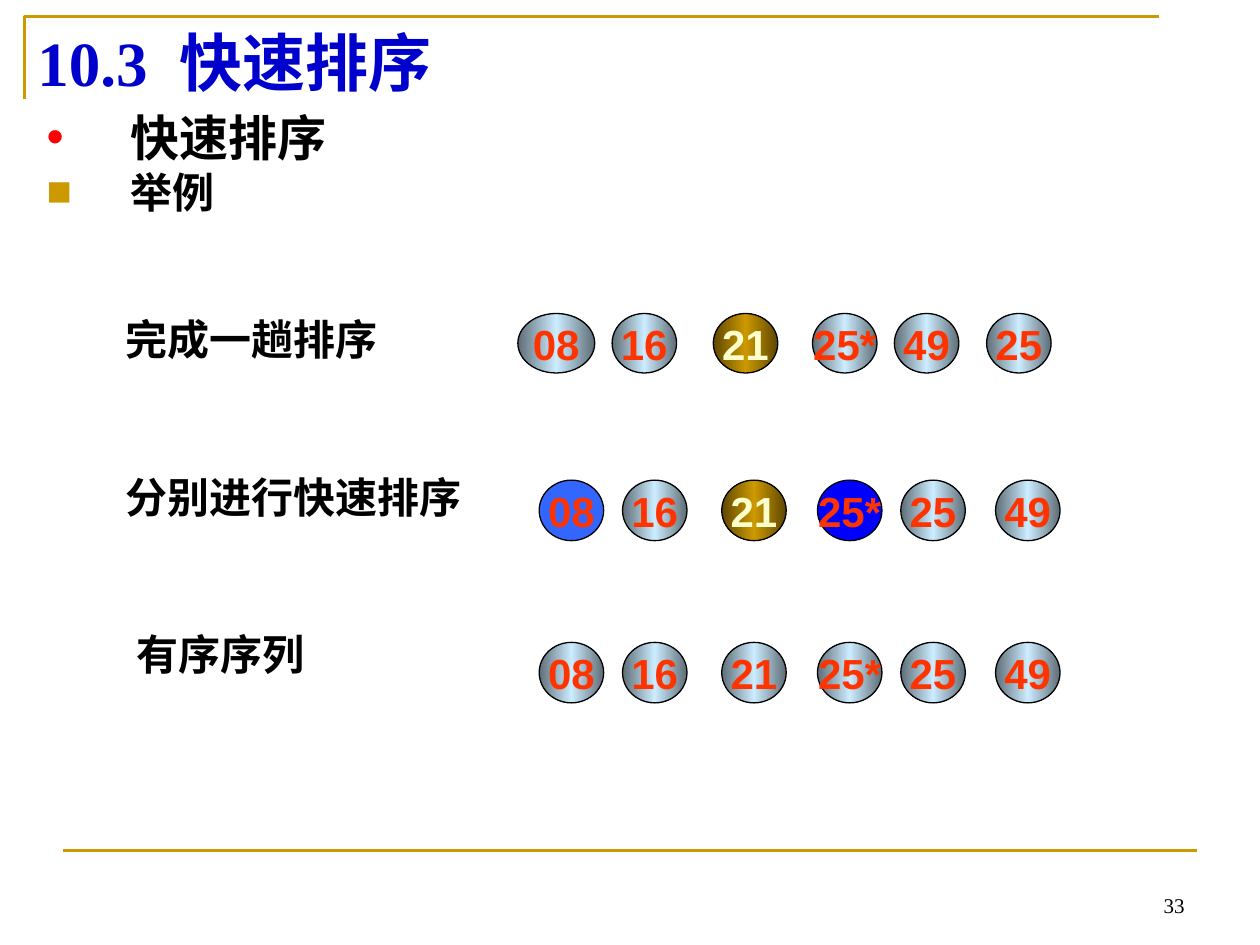
from copy import deepcopy

from lxml import etree
from pptx import Presentation
from pptx.dml.color import RGBColor
from pptx.enum.shapes import MSO_CONNECTOR, MSO_SHAPE
from pptx.enum.text import MSO_ANCHOR, MSO_AUTO_SIZE, PP_ALIGN
from pptx.oxml.ns import qn
from pptx.util import Cm, Pt

BLACK = RGBColor(0x00, 0x00, 0x00)
GOLD = RGBColor(0xCC, 0x99, 0x00)
DARK_GOLD = RGBColor(0x5E, 0x47, 0x00)
PALE_BLUE = RGBColor(0xCC, 0xEC, 0xFF)
STEEL = RGBColor(0x5E, 0x6D, 0x76)
LIGHT_BLUE = RGBColor(0x33, 0x66, 0xFF)
BLUE = RGBColor(0x00, 0x00, 0xFF)
TITLE_BLUE = RGBColor(0x00, 0x00, 0xCC)
RED = RGBColor(0xFF, 0x00, 0x00)
ORANGE = RGBColor(0xFF, 0x33, 0x00)
CREAM = RGBColor(0xFF, 0xFF, 0xCC)
SERIF, SANS, CJK = "Times New Roman", "Arial", "Noto Sans CJK SC"


def add_run(p, text, color, **fmt):
    r = p.add_run()
    r.text = text
    r.font.color.rgb = color
    for name, value in fmt.items():
        setattr(r.font, name, value)
    etree.SubElement(r.font._element, qn("a:ea")).set("typeface", CJK)
    return r


def fill_shape(sp, colors):
    """Fill with one colour, or with an (edge, middle) gradient from left to right."""
    if len(colors) == 1:
        sp.fill.solid()
        sp.fill.fore_color.rgb = colors[0]
        return
    edge, middle = colors
    sp.fill.gradient()
    sp.fill.gradient_angle = 0
    stops = sp.fill._xPr.find(qn("a:gradFill")).find(qn("a:gsLst"))
    stops.append(deepcopy(stops[0]))
    for stop, color, position in zip(sp.fill.gradient_stops, (edge, middle, edge), (0, 0.5, 1)):
        stop.color.rgb = color
        stop.position = position


prs = Presentation()
prs.slide_width, prs.slide_height = Cm(25.4), Cm(19.05)
s = prs.slides.add_slide(prs.slide_layouts[5])

# Frame corner and bottom rule
corner = s.shapes.build_freeform(Cm(0.5), Cm(2), scale=1.0)
corner.add_line_segments([(Cm(0.5), Cm(0.33)), (Cm(23.37), Cm(0.33))], close=False)
frame = corner.convert_to_shape()
frame.shadow.inherit = False
frame.fill.background()
rule = s.shapes.add_connector(MSO_CONNECTOR.STRAIGHT, Cm(1.27), Cm(17.15), Cm(24.13), Cm(17.15))
etree.SubElement(rule._element.spPr, qn("a:effectLst"))
for sp in (frame, rule):
    sp.line.color.rgb = GOLD
    sp.line.width = Pt(1.5)

# Title
title = s.shapes.title
title.left, title.top, title.width, title.height = Cm(0.5), Cm(0.33), Cm(22.86), Cm(1.8)
tf = title.text_frame
tf.vertical_anchor = MSO_ANCHOR.MIDDLE
tf.auto_size = MSO_AUTO_SIZE.NONE
p = tf.paragraphs[0]
p.alignment = PP_ALIGN.LEFT
for text in ("10.3", " ", "快速排序"):
    r = add_run(p, text, TITLE_BLUE, size=Pt(36), bold=True, name=SERIF)
    if text == " ":
        r.font._element.set("spc", "900")

# Bulleted headings
tf = s.shapes.add_textbox(Cm(0.69), Cm(2.13), Cm(23.39), Cm(15.01)).text_frame
tf.word_wrap = True
tf.margin_top = Cm(0.26)
headings = [("快速排序", 28, "•", RED), ("举例", 24, "■", GOLD)]
for i, (text, size, bullet, color) in enumerate(headings):
    p = tf.add_paragraph() if i else tf.paragraphs[0]
    p.line_spacing = 0.8
    if i:
        p.space_before = Pt(6)
    pPr = p._p.get_or_add_pPr()
    pPr.set("marL", str(Cm(1.7)))
    pPr.set("indent", str(-Cm(1.7)))
    bullet_color = etree.SubElement(pPr, qn("a:buClr"))
    etree.SubElement(bullet_color, qn("a:srgbClr")).set("val", str(color))
    etree.SubElement(pPr, qn("a:buFont")).set("typeface", SANS)
    etree.SubElement(pPr, qn("a:buChar")).set("char", bullet)
    add_run(p, text, BLACK, size=Pt(size), bold=True, name=CJK)

# Step labels
labels = [
    ("完成一趟排序", 2.29, 6.32, 5.92),
    ("分别进行快速排序", 2.29, 9.5, 7.7),
    ("有序序列", 2.51, 12.67, 4.39),
]
for text, left, top, width in labels:
    tf = s.shapes.add_textbox(Cm(left), Cm(top), Cm(width), Cm(1.27)).text_frame
    tf.word_wrap = True
    tf.auto_size = MSO_AUTO_SIZE.SHAPE_TO_FIT_TEXT
    tf.margin_top = 0
    add_run(tf.paragraphs[0], text, BLACK, size=Pt(24), bold=True, name=SERIF)

# Number sequences; special fills are keyed by place in the row
SILVER, PIVOT = (STEEL, PALE_BLUE), (DARK_GOLD, GOLD)
first_lefts = (10.44, 12.34, 14.38, 16.38, 18.03, 19.89)
later_lefts = (10.87, 12.55, 14.55, 16.48, 18.16, 20.07)
sequences = [
    (6.32, 1.2, first_lefts, "08 16 21 25* 49 25", {2: PIVOT}),
    (9.68, 1.22, later_lefts, "08 16 21 25* 25 49", {0: (LIGHT_BLUE,), 2: PIVOT, 3: (BLUE,)}),
    (12.95, 1.22, later_lefts, "08 16 21 25* 25 49", {}),
]
for top, height, lefts, numbers, special in sequences:
    for i, (left, number) in enumerate(zip(lefts, numbers.split())):
        width = 1.55 if left == first_lefts[0] else 1.3
        sp = s.shapes.add_shape(MSO_SHAPE.OVAL, Cm(left), Cm(top), Cm(width), Cm(height))
        sp.shadow.inherit = False
        colors = special.get(i, SILVER)
        fill_shape(sp, colors)
        sp.line.color.rgb = BLACK
        sp.line.width = Pt(0.75)
        tf = sp.text_frame
        tf.word_wrap = False
        tf.vertical_anchor = MSO_ANCHOR.MIDDLE
        p = tf.paragraphs[0]
        p.alignment = PP_ALIGN.CENTER
        color = CREAM if colors == PIVOT else ORANGE
        add_run(p, number, color, size=Pt(24), bold=True, name=SANS)

# Page number
tf = s.shapes.add_textbox(Cm(18.21), Cm(17.35), Cm(5.92), Cm(1.27)).text_frame
tf.word_wrap = True
tf.vertical_anchor = MSO_ANCHOR.BOTTOM
p = tf.paragraphs[0]
p.alignment = PP_ALIGN.RIGHT
add_run(p, "33", BLACK, size=Pt(12), name=SERIF)

prs.save("out.pptx")
